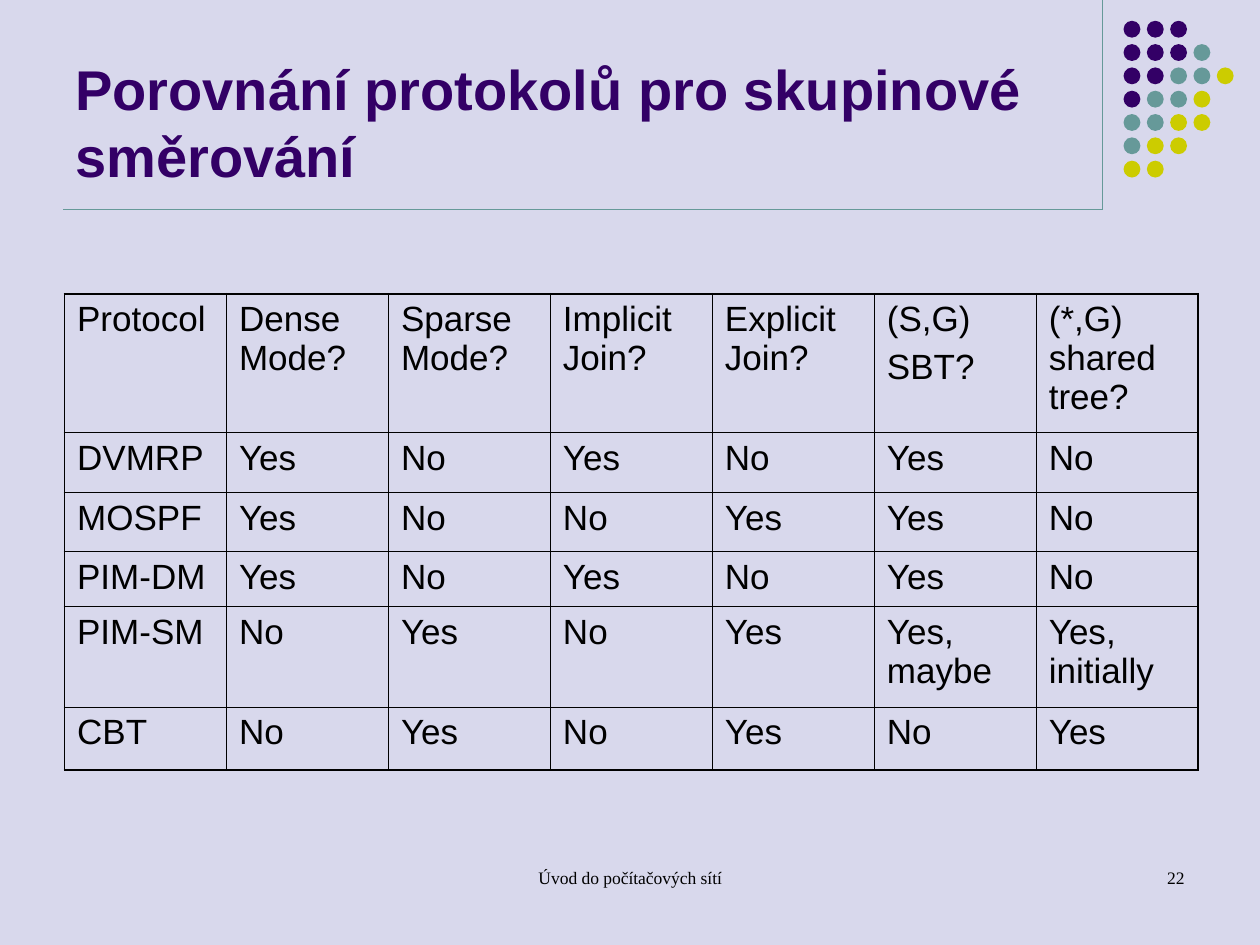
from dataclasses import dataclass

from lxml import etree
from pptx import Presentation
from pptx.dml.color import RGBColor
from pptx.enum.shapes import MSO_CONNECTOR, MSO_SHAPE
from pptx.enum.text import MSO_ANCHOR, PP_ALIGN
from pptx.oxml.ns import qn
from pptx.util import Cm, Pt

STRAIGHT = MSO_CONNECTOR.STRAIGHT
OVAL = MSO_SHAPE.OVAL
TOP, BOTTOM = MSO_ANCHOR.TOP, MSO_ANCHOR.BOTTOM
LEFT, CENTER, RIGHT = PP_ALIGN.LEFT, PP_ALIGN.CENTER, PP_ALIGN.RIGHT


@dataclass(frozen=True)
class Theme:
    background: str = "D8D8EC"
    purple: str = "330066"
    teal: str = "669999"
    yellow: str = "CCCC00"
    black: str = "000000"
    sans: str = "Arial"
    serif: str = "Times New Roman"
    title_size: float = 32
    table_size: float = 20
    footer_size: float = 10
    rule_width: float = 0.75
    outer_border: float = 1.08
    inner_border: float = 0.45


class SlideBuilder:
    """Draw styled elements on the current slide."""

    def __init__(self, page, theme):
        self.page = page
        self.theme = theme
        page.background.fill.solid()
        page.background.fill.fore_color.rgb = RGBColor.from_string(theme.background)

    def add_span(self, para, text, font, size, color, bold=False):
        span = para.add_run()
        span.text = text
        span.font.name = font
        span.font.size = Pt(size)
        span.font.bold = bold
        span.font.color.rgb = RGBColor.from_string(color)

    def text(self, text, left, top, width, height, font, size, color,
             align=LEFT, anchor=TOP, bold=False):
        box = self.page.shapes.add_textbox(Cm(left), Cm(top), Cm(width), Cm(height))
        frame = box.text_frame
        frame.word_wrap = True
        frame.vertical_anchor = anchor
        para = frame.paragraphs[0]
        para.alignment = align
        self.add_span(para, text, font, size, color, bold)

    def rule(self, x1, y1, x2, y2):
        line = self.page.shapes.add_connector(STRAIGHT, Cm(x1), Cm(y1), Cm(x2), Cm(y2))
        line.line.color.rgb = RGBColor.from_string(self.theme.teal)
        line.line.width = Pt(self.theme.rule_width)
        etree.SubElement(line._element.spPr, qn("a:effectLst"))

    def dots(self, pattern, left, top, pitch, size):
        colors = {"P": self.theme.purple, "T": self.theme.teal, "Y": self.theme.yellow}
        for row, codes in enumerate(pattern):
            for column, code in enumerate(codes):
                dot = self.page.shapes.add_shape(
                    OVAL, Cm(left + column * pitch), Cm(top + row * pitch), Cm(size), Cm(size))
                dot.shadow.inherit = False
                dot.fill.solid()
                dot.fill.fore_color.rgb = RGBColor.from_string(colors[code])
                dot.line.fill.background()

    def border(self, cell, outer_sides):
        properties = cell._tc.get_or_add_tcPr()
        for side in "LRTB":
            width = self.theme.outer_border if side in outer_sides else self.theme.inner_border
            line = etree.SubElement(properties, qn(f"a:ln{side}"), w=str(Pt(width)))
            fill = etree.SubElement(line, qn("a:solidFill"))
            etree.SubElement(fill, qn("a:srgbClr"), val=self.theme.black)

    def table(self, rows, heights, left, top, width):
        row_count, column_count = len(rows), len(rows[0])
        table = self.page.shapes.add_table(
            row_count, column_count, Cm(left), Cm(top), Cm(width), Cm(sum(heights))).table
        table.first_row = table.horz_banding = False
        for column in table.columns:
            column.width = Cm(width / column_count)
        for r, (values, height) in enumerate(zip(rows, heights)):
            table.rows[r].height = Cm(height)
            for c, value in enumerate(values):
                cell = table.cell(r, c)
                edges = {"L": c == 0, "R": c == column_count - 1,
                         "T": r == 0, "B": r == row_count - 1}
                self.border(cell, [side for side, outer in edges.items() if outer])
                cell.fill.background()
                for index, text in enumerate(value.split("\n")):
                    frame = cell.text_frame
                    para = frame.add_paragraph() if index else frame.paragraphs[0]
                    if index:
                        para.space_before = Pt(5)
                    self.add_span(para, text, self.theme.sans, self.theme.table_size,
                                  self.theme.black)


def main():
    theme = Theme()
    deck = Presentation()
    deck.slide_width, deck.slide_height = Cm(25.4), Cm(19.05)
    slide = SlideBuilder(deck.slides.add_slide(deck.slide_layouts[6]), theme)

    slide.rule(22.23, 0, 22.23, 4.23)
    slide.dots(["PPP", "PPPT", "PPTTY", "PTTY", "TTYY", "TYY", "YY"],
               left=22.65, top=0.42, pitch=0.47, size=0.34)
    slide.rule(1.27, 4.23, 22.23, 4.23)
    slide.text("Porovnání protokolů pro skupinové směrování", 1.27, 0.33, 20.96, 3.6,
               theme.sans, theme.title_size, theme.purple, anchor=BOTTOM, bold=True)

    protocols = [
        ["Protocol", "Dense Mode?", "Sparse Mode?", "Implicit Join?", "Explicit Join?",
         "(S,G)\nSBT?", "(*,G) shared tree?"],
        ["DVMRP", "Yes", "No", "Yes", "No", "Yes", "No"],
        ["MOSPF", "Yes", "No", "No", "Yes", "Yes", "No"],
        ["PIM-DM", "Yes", "No", "Yes", "No", "Yes", "No"],
        ["PIM-SM", "No", "Yes", "No", "Yes", "Yes, maybe", "Yes, initially"],
        ["CBT", "No", "Yes", "No", "Yes", "No", "Yes"],
    ]
    slide.table(protocols, [2.8, 1.2, 1.2, 1.1, 2.03, 1.27], left=1.3, top=5.92, width=22.86)

    footer = (theme.serif, theme.footer_size, theme.black)
    slide.text("Úvod do počítačových sítí", 8.68, 17.35, 8.05, 1.27, *footer, align=CENTER)
    slide.text("22", 18.2, 17.35, 5.93, 1.27, *footer, align=RIGHT)
    deck.save("out.pptx")


if __name__ == "__main__":
    main()
